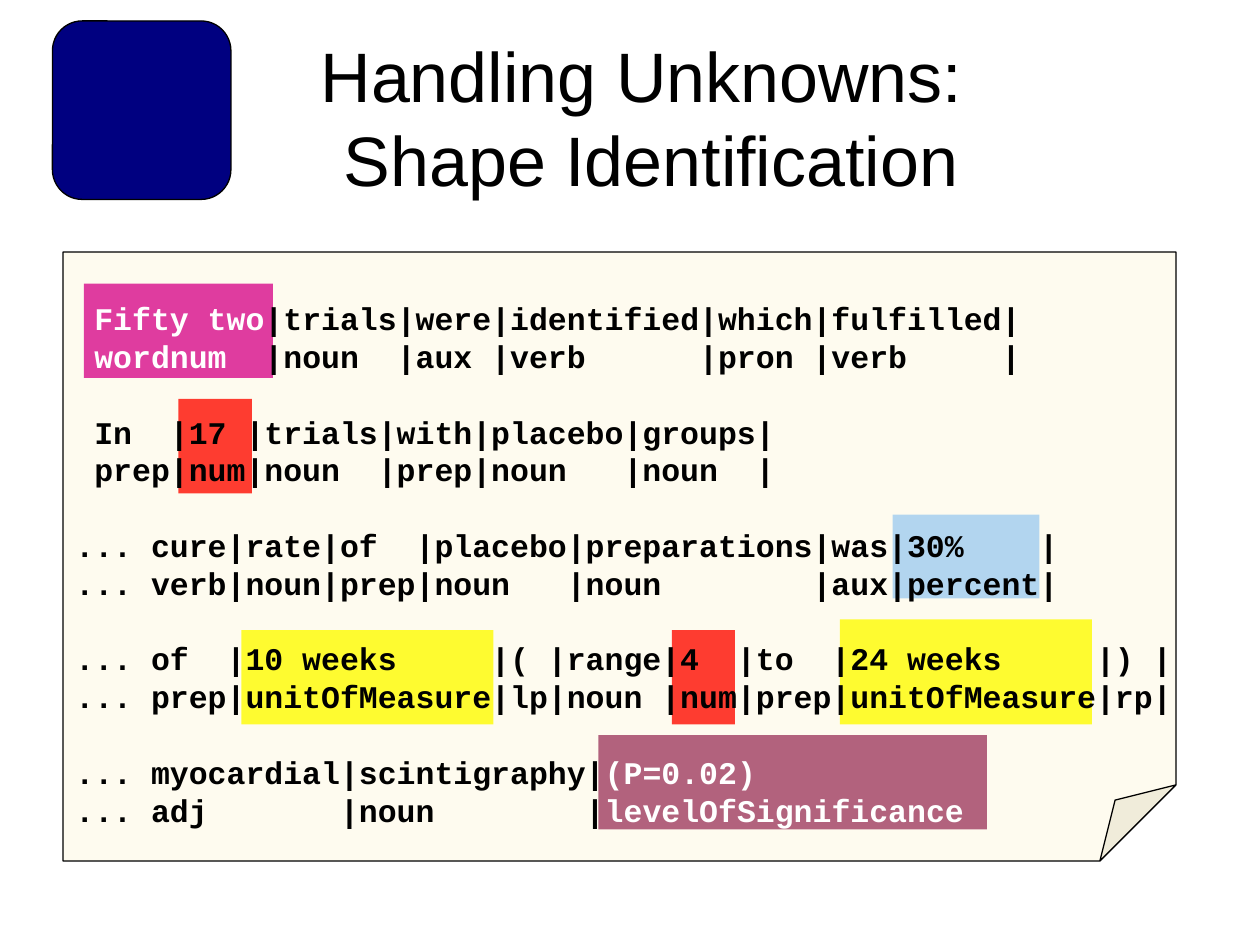
from lxml.etree import SubElement
from pptx import Presentation
from pptx.dml.color import RGBColor
from pptx.enum.shapes import MSO_SHAPE
from pptx.enum.text import MSO_ANCHOR, MSO_AUTO_SIZE, PP_ALIGN
from pptx.oxml.ns import qn
from pptx.util import Pt

COLORS = {
    "black": "000000",
    "white": "FFFFFF",
    "navy": "000080",
    "paper": "FDF2C3",
    "yellow": "FFFF00",
    "red": "FF0000",
    "magenta": "D60093",
    "blue": "99CCFF",
    "plum": "993366",
}

HIGHLIGHTS = [
    (444, 210, 144, 60, "yellow"),
    (348, 216, 36, 54, "red"),
    (66, 84, 42, 54, "red"),
    (12, 18, 108, 54, "magenta"),
    (474, 150, 84, 48, "blue"),
    (102, 216, 144, 54, "yellow"),
    (306, 276, 222, 54, "plum"),
]

SENTENCES = [
    (" ", [("Fifty two", "wordnum"), ("trials", "noun"), ("were", "aux"),
           ("identified", "verb"), ("which", "pron"), ("fulfilled", "verb")]),
    (" ", [("In", "prep"), ("17", "num"), ("trials", "noun"), ("with", "prep"),
           ("placebo", "noun"), ("groups", "noun")]),
    ("... ", [("cure", "verb"), ("rate", "noun"), ("of", "prep"), ("placebo", "noun"),
              ("preparations", "noun"), ("was", "aux"), ("30%", "percent")]),
    ("... ", [("of", "prep"), ("10 weeks", "unitOfMeasure"), ("(", "lp"), ("range", "noun"),
              ("4", "num"), ("to", "prep"), ("24 weeks", "unitOfMeasure"), (")", "rp")]),
    ("... ", [("myocardial", "adj"), ("scintigraphy", "noun"),
              ("(P=0.02)", "levelOfSignificance")]),
]
WHITE_TAGS = {"wordnum", "levelOfSignificance"}
OPEN_TAG = "levelOfSignificance"
LINE_PITCH = 21.6


def color(name):
    return RGBColor.from_string(COLORS[name])


def add_box(slide, kind, box, fill, outlined=False):
    shape = slide.shapes.add_shape(kind, *(Pt(value) for value in box))
    shape.shadow.inherit = False
    shape.fill.solid()
    shape.fill.fore_color.rgb = color(fill)
    if outlined:
        shape.line.color.rgb = color("black")
        shape.line.width = Pt(0.75)
    else:
        shape.line.fill.background()
    return shape


def add_run(paragraph, text, font_name, size, color_name, bold=False):
    run = paragraph.add_run()
    run.text = text
    run.font.name = font_name
    run.font.size = Pt(size)
    run.font.bold = bold
    run.font.color.rgb = color(color_name)


def place_title(slide, box):
    title = slide.shapes.title
    title.left, title.top, title.width, title.height = (Pt(value) for value in box)
    frame = title.text_frame
    frame.auto_size = MSO_AUTO_SIZE.NONE
    frame.vertical_anchor = MSO_ANCHOR.MIDDLE
    paragraph = frame.paragraphs[0]
    paragraph.alignment = PP_ALIGN.CENTER
    paragraph.line_spacing = Pt(48)
    add_run(paragraph, "Handling Unknowns: ", "Arial", 40, "black")
    paragraph.add_line_break()
    add_run(paragraph, "Shape Identification", "Arial", 40, "black")


def place_highlights(slide, box):
    left, top = box[:2]
    for x, y, width, height, fill in HIGHLIGHTS:
        add_box(slide, MSO_SHAPE.RECTANGLE, (left + x, top + y, width, height), fill)


def write_row(paragraph, lead, cells, row):
    add_run(paragraph, lead, "Courier New", 18, "black", True)
    for cell in cells:
        tag = cell[1]
        is_open = tag == OPEN_TAG
        text = cell[row] if is_open else cell[row].ljust(max(map(len, cell)))
        text_color = "white" if tag in WHITE_TAGS else "black"
        add_run(paragraph, text, "Courier New", 18, text_color, True)
        if not is_open:
            add_run(paragraph, "|", "Courier New", 18, "black", True)


def place_note(slide, box):
    note = add_box(slide, MSO_SHAPE.FOLDED_CORNER, box, "paper", outlined=True)
    properties = note.element.spPr
    guides = next(properties.iter(qn("a:avLst")))
    SubElement(guides, qn("a:gd"), name="adj", fmla="val 12500")
    fill_color = properties.find(qn("a:solidFill"))[0]
    SubElement(fill_color, qn("a:alpha"), val="25000")
    frame = note.text_frame
    frame.word_wrap = False
    frame.vertical_anchor = MSO_ANCHOR.TOP
    frame.margin_top = Pt(27)
    for index, (lead, cells) in enumerate(SENTENCES):
        for row in range(2):
            first = index == row == 0
            paragraph = frame.paragraphs[0] if first else frame.add_paragraph()
            paragraph.alignment = PP_ALIGN.LEFT
            paragraph.line_spacing = Pt(LINE_PITCH)
            paragraph.space_before = Pt(LINE_PITCH if row == 0 and index else 0)
            write_row(paragraph, lead, cells, row)


def place_emblem(slide, box):
    add_box(slide, MSO_SHAPE.ROUNDED_RECTANGLE, box, "navy", outlined=True)


def main():
    presentation = Presentation()
    presentation.slide_width = Pt(720)
    presentation.slide_height = Pt(540)
    slide = presentation.slides.add_slide(presentation.slide_layouts[5])
    note_box = (36, 144, 636, 348)
    place_title(slide, (48, 21.6, 648, 90))
    place_highlights(slide, note_box)
    place_note(slide, note_box)
    place_emblem(slide, (30, 12, 102, 102))
    presentation.save("out.pptx")


if __name__ == "__main__":
    main()
